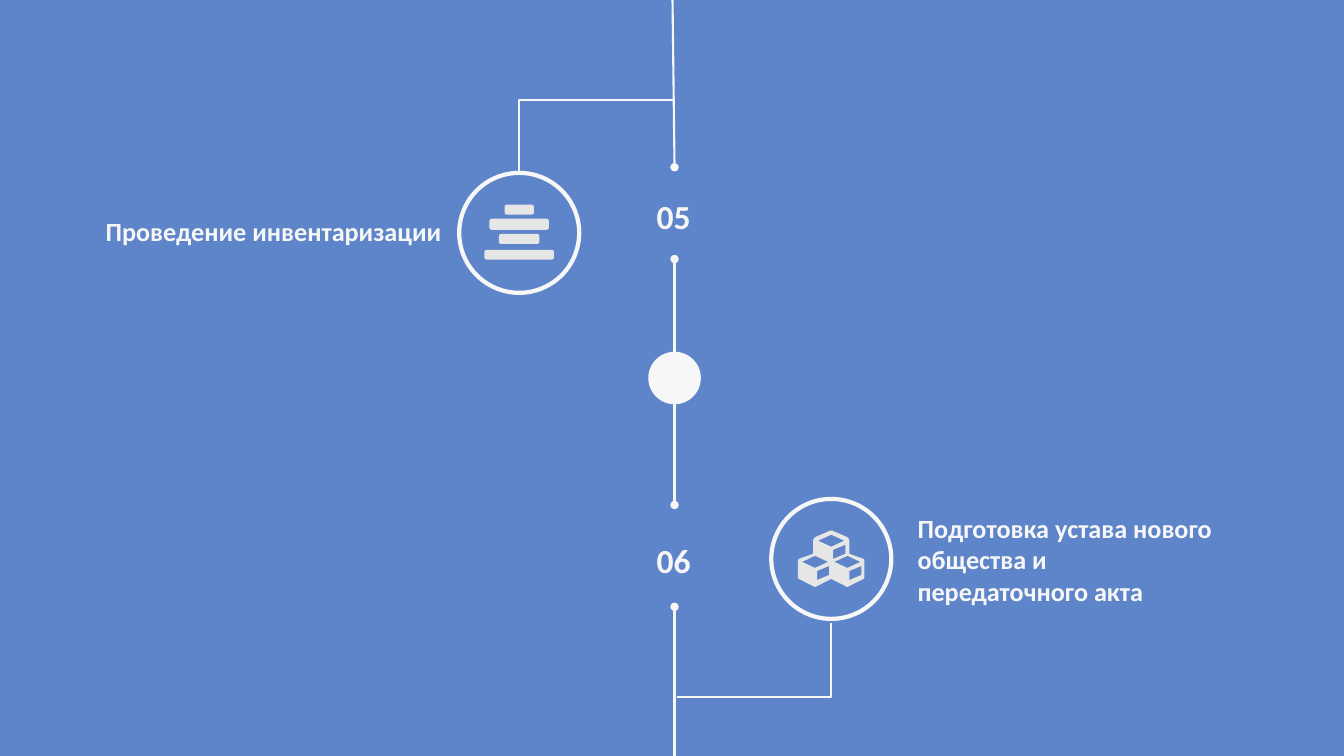
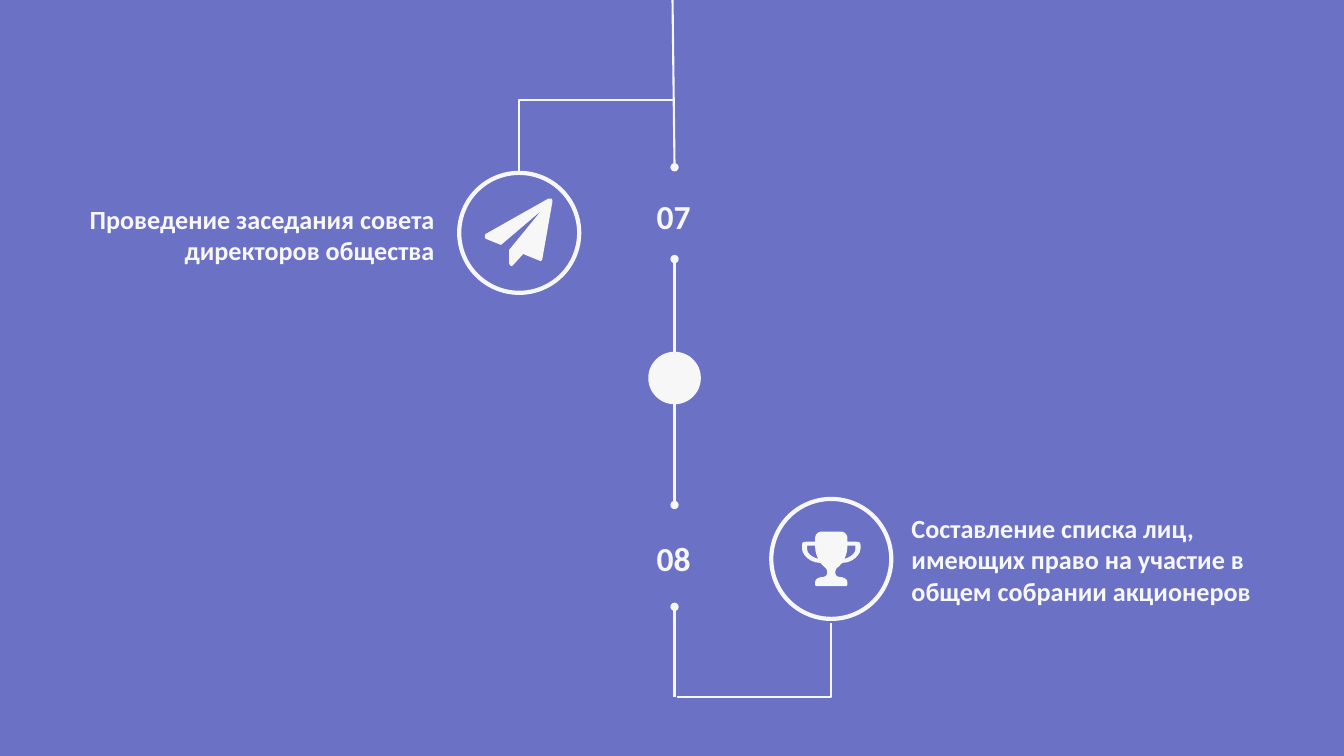
import dataclasses
import pptx
import pptx.dml.color
import pptx.enum.shapes
import pptx.enum.text
import pptx.oxml.ns
import pptx.util
import lxml.etree

SHAPES = pptx.enum.shapes.MSO_SHAPE
CONNECTORS = pptx.enum.shapes.MSO_CONNECTOR
ALIGN = pptx.enum.text.PP_ALIGN


@dataclasses.dataclass(frozen=True)
class Theme:
    width: int = pptx.util.Inches(13.33)
    height: int = pptx.util.Inches(7.5)
    font: str = "Calibri"
    light: str = "F7F7F7"
    grey: str = "E7E6E6"
    blue: str = "5E85CA"
    violet: str = "6B71C5"
    number_size: float = 24
    label_size: float = 18.7
    thin: float = 1.5
    thick: float = 3


THEME = Theme()
SPINE = 50.19
UPPER = (38.63, 30.8)
LOWER = (61.85, 73.93)
RING = 15.87
HUB = 6.67
UPPER_BRANCH = 13.2
LOWER_BRANCH = 92.2
RING_FOOT = 82.4


def across(share):
    return round(THEME.width * share / 100)


def down(share):
    return round(THEME.height * share / 100)


def color(value):
    return pptx.dml.color.RGBColor.from_string(value)


def assign(target, values):
    for name, value in values.items():
        setattr(target, name, value)


def paint(shape, fill=None, line=None, width=THEME.thin):
    shape.shadow.inherit = False
    if fill:
        shape.fill.solid()
        shape.fill.fore_color.rgb = color(fill)
    else:
        shape.fill.background()
    if line:
        shape.line.color.rgb = color(line)
        shape.line.width = pptx.util.Pt(width)
    else:
        shape.line.fill.background()


def add_circle(slide, center, diameter, **style):
    size = down(diameter)
    left, top = across(center[0]) - size // 2, down(center[1]) - size // 2
    paint(slide.shapes.add_shape(SHAPES.OVAL, left, top, size, size), **style)


def add_line(slide, start, end, dots=(), kind=CONNECTORS.STRAIGHT):
    connector = slide.shapes.add_connector(
        kind, across(start[0]), down(start[1]), across(end[0]), down(end[1]))
    connector.line.color.rgb = color(THEME.light)
    connector.line.width = pptx.util.Pt(THEME.thin)
    for dot in dots:
        lxml.etree.SubElement(connector.line._get_or_add_ln(),
                              pptx.oxml.ns.qn(f"a:{dot}"), type="oval")
    properties = connector._element.spPr
    lxml.etree.SubElement(properties, pptx.oxml.ns.qn("a:effectLst"))
    return connector


def add_elbow(slide, start, end):
    connector = add_line(slide, start, end, kind=CONNECTORS.ELBOW)
    geometry = connector._element.spPr.find(pptx.oxml.ns.qn("a:prstGeom"))
    geometry.set("prst", "bentConnector2")


def add_text(slide, text, left, middle, width, size, align):
    height = down(12.53)
    box = slide.shapes.add_textbox(
        across(left), down(middle) - height // 2, across(width), height)
    assign(box.text_frame, {
        "margin_left": 0, "margin_right": 0, "margin_top": 0, "margin_bottom": 0,
        "word_wrap": True, "vertical_anchor": pptx.enum.text.MSO_ANCHOR.MIDDLE})
    paragraph = box.text_frame.paragraphs[0]
    paragraph.alignment = align
    run = paragraph.add_run()
    run.text = text
    assign(run.font, {"name": THEME.font, "size": pptx.util.Pt(size), "bold": True})
    run.font.color.rgb = color(THEME.light)


def trace(steps, samples=6):
    points = []
    for step in steps:
        if len(step) == 2:
            points.append(step)
            continue
        corners = [points[-1], step[:2], step[2:4], step[4:]]
        for index in range(1, samples + 1):
            t = index / samples
            weights = ((1 - t) ** 3, 3 * t * (1 - t) ** 2, 3 * t * t * (1 - t), t ** 3)
            points.append(tuple(
                sum(weight * corner[axis] for weight, corner in zip(weights, corners))
                for axis in (0, 1)))
    return points


def flip(points):
    return [(-x, y) for x, y in reversed(points)]


def add_icon(slide, center, contours, fill):
    unit = pptx.util.Inches(0.01)
    scaled = [[(round(x * unit), round(y * unit)) for x, y in contour]
              for contour in contours]
    builder = slide.shapes.build_freeform(*scaled[0][0])
    builder.add_line_segments(scaled[0][1:], close=True)
    for contour in scaled[1:]:
        builder.move_to(*contour[0])
        builder.add_line_segments(contour[1:], close=True)
    paint(builder.convert_to_shape(across(center[0]), down(center[1])), fill=fill)


def add_bars(slide, center):
    unit = pptx.util.Inches(0.01)
    for width, top, height in ((29, -28, 10), (59, -14, 11), (40, 1, 10), (69, 17, 9.5)):
        bar = slide.shapes.add_shape(
            SHAPES.ROUNDED_RECTANGLE, across(center[0]) - round(width * unit / 2),
            down(center[1]) + top * unit, width * unit, round(height * unit))
        bar.adjustments[0] = 0.22
        paint(bar, fill=THEME.grey)


def add_cubes(slide, center):
    half = trace([
        (0, -28), (1, -28), (15, -22), (17, -21, 18, -19, 18, -18), (18, -5),
        (32, 0), (33, 1, 33, 3, 33, 4), (33, 17), (33, 18, 33, 20, 32, 20),
        (18, 27), (16, 28), (14, 27), (0, 20)])
    lid = [(13, -18), (0, -24), (-13, -18), (0, -12)]
    side = [(14, -5), (14, -14), (2, -9), (2, 0)]
    faces = [[(x + dx, y + dy) for x, y in face]
             for dx, dy in ((0, 0), (-16, 21), (16, 21)) for face in (lid, side)]
    add_icon(slide, center, [half + flip(half), *faces], THEME.grey)


def add_plane(slide, center):
    outline = trace([
        (33, -31), (23, 26), (23, 27, 22, 27, 22, 28), (21, 28), (4, 21),
        (-6, 32), (-6, 32, -7, 33, -8, 33), (-9, 32, -10, 31, -10, 30),
        (-10, 17), (22, -22), (-18, 12), (-33, 6), (-34, 5, -34, 5, -34, 4),
        (-34, 3, -34, 2, -33, 1), (29, -34), (32, -34), (33, -33, 33, -32, 33, -31)])
    add_icon(slide, center, [outline], THEME.light)


def add_trophy(slide, center):
    half = trace([
        (0, -27), (10, -27), (13, -27, 16, -24, 16, -21), (16, -17), (25, -17),
        (28, -17, 29, -16, 29, -14), (29, -10), (29, -4, 21, 4, 11, 4),
        (9, 6, 7, 8, 7, 8), (5, 9, 4, 11, 4, 14), (4, 15, 5, 18, 9, 18),
        (12, 18, 16, 20, 16, 23), (16, 26), (15, 27), (0, 27)])
    handle = trace([(24, -13), (16, -13), (16, -8, 15, -4, 13, 0),
                    (20, -2, 24, -6, 24, -10)])
    add_icon(slide, center, [half + flip(half), handle, flip(handle)], THEME.light)


def add_spine(slide, bottom):
    both = ("headEnd", "tailEnd")
    for top, end, dots in ((80.27, bottom, both[:1]), (50, 66.8, both),
                           (34.27, 50, both)):
        add_line(slide, (SPINE, top), (SPINE, end), dots)
    add_line(slide, (50.04, 0), (SPINE, 22.13), both[1:])
    add_circle(slide, (SPINE, 50), HUB, fill=THEME.light, line=THEME.light)
    add_elbow(slide, (SPINE, UPPER_BRANCH), (UPPER[0], 22.93))
    add_elbow(slide, (50.34, LOWER_BRANCH), (LOWER[0], RING_FOOT))


def add_step(slide, center, number, number_middle, label, label_box, align, icon):
    add_text(slide, number, 48.84, number_middle, 2.55, THEME.number_size, ALIGN.CENTER)
    add_circle(slide, center, RING, line=THEME.light, width=THEME.thick)
    add_text(slide, label, *label_box, THEME.label_size, align)
    icon(slide, center)


def add_timeline(presentation, background, bottom, steps):
    slide = presentation.slides.add_slide(presentation.slide_layouts[6])
    slide.background.fill.solid()
    slide.background.fill.fore_color.rgb = color(background)
    add_spine(slide, bottom)
    for center, align, step in zip((UPPER, LOWER), (ALIGN.RIGHT, ALIGN.LEFT), steps):
        add_step(slide, center, align=align, **step)


def main():
    presentation = pptx.Presentation()
    assign(presentation, {"slide_width": THEME.width, "slide_height": THEME.height})
    add_timeline(presentation, THEME.blue, 100, [
        {"number": "05", "number_middle": 28.6, "icon": add_bars,
         "label": "Проведение инвентаризации", "label_box": (5.25, 30.5, 27.6)},
        {"number": "06", "number_middle": 74.13, "icon": add_cubes,
         "label": "Подготовка устава нового общества и передаточного акта",
         "label_box": (68.27, 74, 22.58)}])
    add_timeline(presentation, THEME.violet, LOWER_BRANCH, [
        {"number": "07", "number_middle": 28.6, "icon": add_plane,
         "label": "Проведение заседания совета директоров общества",
         "label_box": (5.25, 31, 27.08)},
        {"number": "08", "number_middle": 73.8, "icon": add_trophy,
         "label": "Составление списка лиц, имеющих право на участие в общем собрании акционеров",
         "label_box": (67.82, 74, 29.56)}])
    presentation.save("out.pptx")


if __name__ == "__main__":
    main()
